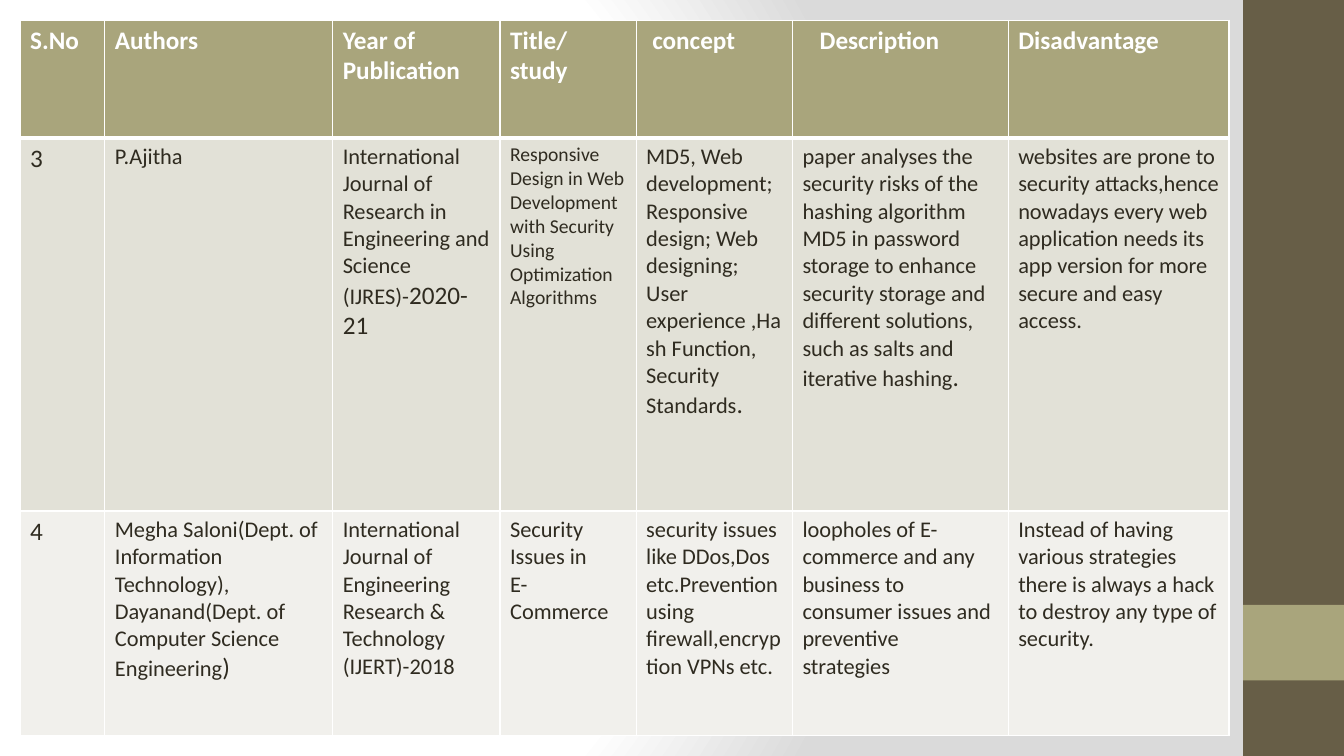
from pptx import Presentation
from pptx.dml.color import RGBColor
from pptx.enum import shapes
from pptx.oxml import parse_xml
from pptx.oxml.ns import nsdecls
from pptx.util import Inches, Pt

HUES = {
    "brown": "675E47", "olive": "A9A57C", "white": "FFFFFF", "gray": "DADADA",
    "ink": "2F2B20", "dark": "E2E1D7", "light": "F1F0EC",
}


def hue(name):
    return RGBColor.from_string(HUES[name])


def write(frame, copy, size=16, tail=18, color="ink", bold=False):
    """Fill a frame: newline splits paragraphs, a bar starts a run of tail size."""
    for i, line in enumerate(copy.split("\n")):
        para = frame.add_paragraph() if i else frame.paragraphs[0]
        for part, pts in zip(line.split("|"), (size, tail)):
            run = para.add_run()
            run.text = part
            run.font.name = "Calibri"
            run.font.size = Pt(pts)
            run.font.bold = bold
            run.font.color.rgb = hue(color)


deck = Presentation()
deck.slide_width, deck.slide_height = Inches(13.33), Inches(7.5)
slide = deck.slides.add_slide(deck.slide_layouts[6])

# Background glow
stops = "".join(
    f'<a:gs pos="{pos * 1000}"><a:srgbClr val="{HUES[name]}"/></a:gs>'
    for pos, name in ((0, "white"), (75, "white"), (100, "gray")))
slide.element.cSld.insert(0, parse_xml(
    f'<p:bg {nsdecls("p", "a")}><p:bgPr><a:gradFill rotWithShape="1">'
    f'<a:gsLst>{stops}</a:gsLst><a:path path="circle">'
    '<a:fillToRect l="20000" t="50000" r="100000" b="50000"/></a:path>'
    '</a:gradFill><a:effectLst/></p:bgPr></p:bg>'))

# Side band
for top, high, name in ((0, 7.5, "brown"), (6, 0.75, "olive")):
    band = slide.shapes.add_shape(
        shapes.MSO_SHAPE.RECTANGLE, Inches(12.33), Inches(top), Inches(1), Inches(high))
    band.shadow.inherit = False
    band.fill.solid()
    band.fill.fore_color.rgb = hue(name)
    band.line.fill.background()

# Survey table
rows = [
    ["S.No", "Authors", "Year of Publication", "Title/\nstudy", "concept",
     "Description", "Disadvantage"],
    ["3", "P.Ajitha",
     "International Journal of Research in Engineering and Science (IJRES)-|2020-21",
     "Responsive Design in Web Development with Security Using\nOptimization Algorithms",
     "MD5, Web development; Responsive design; Web designing; User experience ,"
     "Hash Function,\nSecurity Standards|.",
     "paper analyses the security risks of the hashing algorithm MD5 in password "
     "storage to enhance security storage and different solutions, such as salts "
     "and iterative hashing|.",
     "websites are prone to security attacks,hence nowadays every web application "
     "needs its app version for more secure and easy access."],
    ["4",
     "Megha Saloni(Dept. of Information Technology),\n"
     "Dayanand(Dept. of Computer Science Engineering|)",
     "International Journal of Engineering Research & Technology (IJERT)-2018",
     "Security Issues in\nE-Commerce",
     "security issues like DDos,Dos etc.Prevention using firewall,encryption VPNs etc.",
     "loopholes of E-commerce and any business to consumer issues and preventive\nstrategies",
     "Instead of having various strategies there is always a hack to destroy any "
     "type of security."],
]
wides = [0.84, 2.26, 1.66, 1.35, 1.55, 2.14, 2.19]
highs = [1.17, 3.7, 2.23]
fills = ["olive", "dark", "light"]
sizes = {(1, 0): 18, (2, 0): 18, (1, 3): 14}
insets = {(0, 4): 0.16, (0, 5): 0.27}

grid = slide.shapes.add_table(
    len(rows), len(wides), Inches(0.2), Inches(0.2), Inches(12), Inches(7.1)).table
for col, wide in zip(grid.columns, wides):
    col.width = Inches(wide)
for row, high in zip(grid.rows, highs):
    row.height = Inches(high)

for r, row in enumerate(rows):
    for c, copy in enumerate(row):
        cell = grid.cell(r, c)
        props = cell._tc.get_or_add_tcPr()
        for side in "LRTB":
            thick = 3 if (r, side) in ((0, "B"), (1, "T")) else 1
            props.append(parse_xml(
                f'<a:ln{side} {nsdecls("a")} w="{Pt(thick)}"><a:solidFill>'
                f'<a:srgbClr val="{HUES["white"]}"/></a:solidFill></a:ln{side}>'))
        cell.fill.solid()
        cell.fill.fore_color.rgb = hue(fills[r])
        cell.margin_left = Inches(insets.get((r, c), 0.1))
        if r == 0:
            write(cell.text_frame, copy, size=18, color="white", bold=True)
        else:
            write(cell.text_frame, copy, size=sizes.get((r, c), 16))

deck.save("out.pptx")
